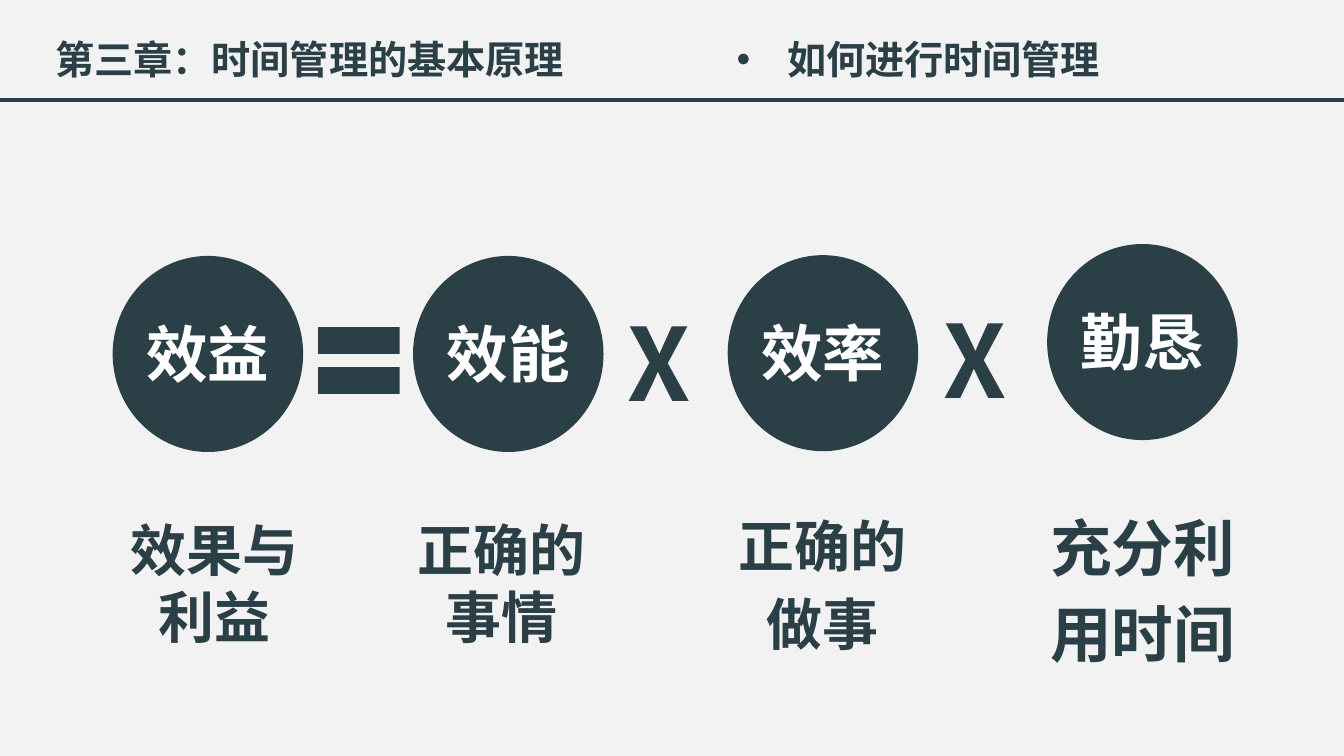
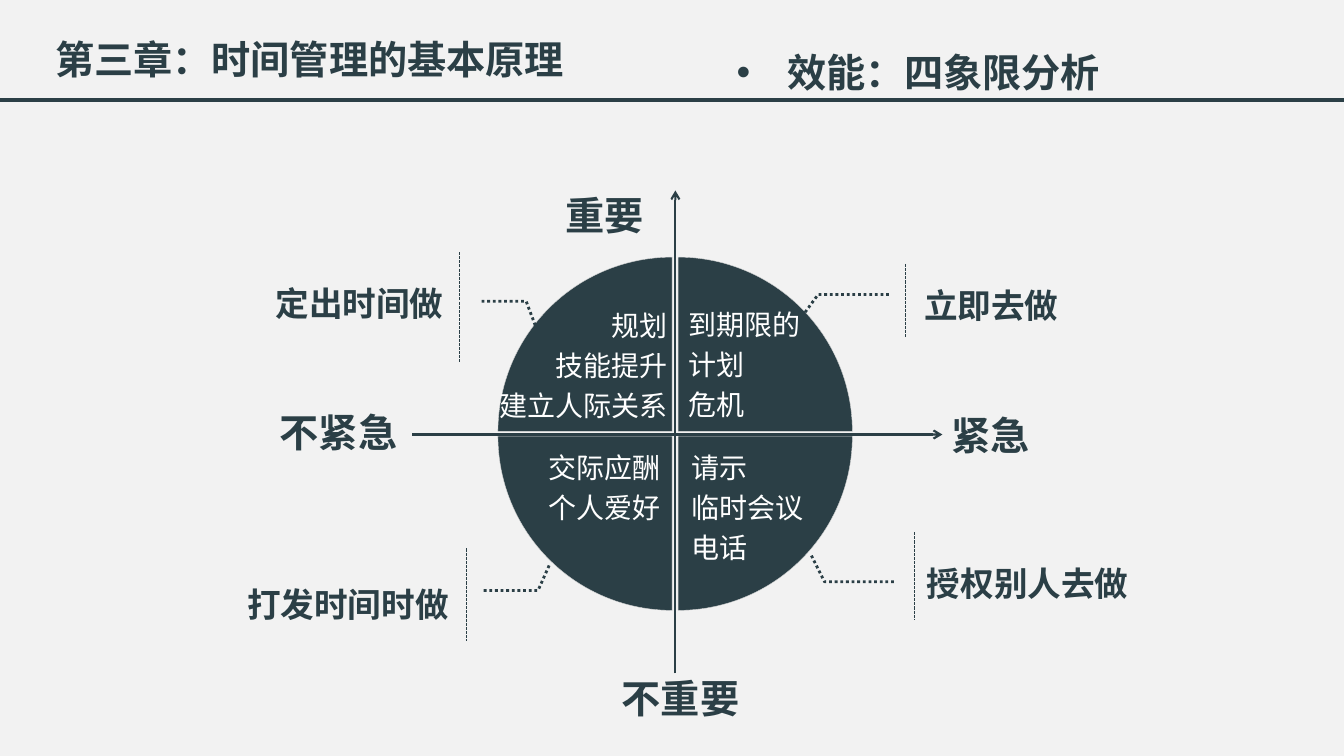
from pptx import Presentation
from pptx.dml.color import RGBColor
from pptx.enum import dml, shapes, text
from pptx.oxml.ns import qn
from pptx.util import Cm, Pt

INK = RGBColor(0x2B, 0x3F, 0x46)
PAPER = RGBColor(0xF2, 0xF2, 0xF2)
WHITE = RGBColor(0xFF, 0xFF, 0xFF)
EDGE = RGBColor(0xD7, 0xD7, 0xD7)
FONT = "Noto Sans CJK SC"
WIDE, HIGH = 33.87, 19.05
LEFT, MID, RIGHT = text.PP_ALIGN.LEFT, text.PP_ALIGN.CENTER, text.PP_ALIGN.RIGHT
KIND = shapes.MSO_SHAPE
DOT, DASH = dml.MSO_LINE.ROUND_DOT, dml.MSO_LINE.SQUARE_DOT

# Shared header
CHAPTER = "第三章：时间管理的基本原理"
RULE = 2.52

# Formula slide: word, left, top
DISC = (4.8, 4.94)
DISCS = [
    ("效益", 2.84, 6.45),
    ("效能", 10.41, 6.45),
    ("效率", 18.34, 6.43),
    ("勤恳", 26.39, 6.15),
]
EQUAL = (7.65, 7.65, 2.79, 2.87)
TIMES = [(15.57, 7.26), (23.52, 7.19)]
# Lines, left, top, size, space between
NOTES = [
    (["效果与", "利益"], 1.7, 12.75, 40, 0),
    (["正确的", "事情"], 8.94, 12.75, 40, 0),
    (["正确的", "做事"], 17.04, 12.65, 40, 8),
    (["充分利", "用时间"], 25.1, 12.6, 44, 9),
]

# Quadrant slide: left, top and turn of each wedge
WEDGE = 4.39
WEDGES = [
    (12.55, 6.48, 0),
    (17.09, 6.48, 90),
    (17.09, 10.99, 180),
    (12.55, 10.99, 270),
]
# Lines, box, side
TASKS = [
    (["规划", "技能提升", "建立人际关系"], (11.46, 7.42, 5.61, 3.33), RIGHT),
    (["到期限的计划", "危机"], (17.09, 7.39, 3.98, 3.33), LEFT),
    (["交际应酬", "个人爱好"], (12.4, 11, 4.5, 2.31), RIGHT),
    (["请示", "临时会议", "电话"], (17.17, 11, 4.01, 3.33), LEFT),
]
AXES = [((10.39, 10.95), (23.75, 10.95)), ((17.02, 16.97), (17.02, 4.8))]
ENDS = [
    ("重要", (14, 4.62, 3.12, 1.45), LEFT),
    ("不重要", (15.42, 16.79, 4.8, 1.45), LEFT),
    ("不紧急", (6.12, 10.08, 4.14, 1.45), RIGHT),
    ("紧急", (23.72, 10.16, 2.92, 1.45), LEFT),
]
# Advice, box, side, divider (x, top, bottom), leader points
ADVICE = [
    ("定出时间做", (3.99, 6.43, 7.44, 1.63), RIGHT, (11.58, 6.35, 9.14),
     [(13.49, 8.2), (13.26, 7.59), (12.14, 7.59)]),
    ("打发时间时做", (3.58, 14.02, 7.98, 1.63), RIGHT, (11.76, 13.82, 16.15),
     [(13.84, 14.25), (13.56, 14.88), (12.14, 14.88)]),
    ("立即去做", (23.04, 6.48, 5.44, 1.63), LEFT, (22.81, 6.65, 8.48),
     [(20.29, 7.87), (20.62, 7.42), (22.4, 7.42)]),
    ("授权别人去做", (23.11, 13.49, 7.09, 1.63), LEFT, (23.04, 13.41, 15.6),
     [(20.45, 14), (20.78, 14.66), (22.56, 14.66)]),
]


def cms(nums):
    return [Cm(n) for n in nums]


def fill_text(frame, lines, size, color=INK, bold=True, side=LEFT, pitch=1.0, gap=0):
    frame.word_wrap = True
    frame.auto_size = text.MSO_AUTO_SIZE.NONE
    frame.margin_top = Cm(0.13) + Pt(0.07 * size)
    frame.text = "\n".join(lines)
    for i, para in enumerate(frame.paragraphs):
        para.alignment = side
        para.line_spacing = Pt(1.2 * pitch * size)
        para.space_before = Pt(gap if i else 0)
        for run in para.runs:
            font = run.font
            font.size, font.bold, font.name = Pt(size), bold, FONT
            font.color.rgb = color
            east = run._r.get_or_add_rPr().makeelement(qn("a:ea"), {"typeface": FONT})
            run._r.rPr.find(qn("a:latin")).addnext(east)


def add_text(slide, lines, box, size, **style):
    frame = slide.shapes.add_textbox(*cms(box)).text_frame
    fill_text(frame, lines, size, **style)


def add_line(slide, start, end, width, dash=None, arrow=False):
    line = slide.shapes.add_connector(
        shapes.MSO_CONNECTOR.STRAIGHT, *cms(start), *cms(end))
    line.line.color.rgb, line.line.width = INK, Pt(width)
    if dash:
        line.line.dash_style = dash
    props = line._element.spPr
    if arrow:
        ln = props.find(qn("a:ln"))
        ln.append(ln.makeelement(qn("a:tailEnd"), {"type": "arrow"}))
    props.append(props.makeelement(qn("a:effectLst"), {}))


def add_solid(slide, kind, box):
    shape = slide.shapes.add_shape(kind, *cms(box))
    shape.shadow.inherit = False
    shape.fill.solid()
    shape.fill.fore_color.rgb = INK
    shape.line.fill.background()
    return shape


def add_leader(slide, points):
    first, *rest = [tuple(cms(p)) for p in points]
    build = slide.shapes.build_freeform(*first)
    build.add_line_segments(rest, close=False)
    shape = build.convert_to_shape()
    shape.shadow.inherit = False
    shape.fill.background()
    shape.line.color.rgb, shape.line.width = INK, Pt(2)
    shape.line.dash_style = DOT


def add_page(deck, topic, top):
    slide = deck.slides.add_slide(deck.slide_layouts[5])
    add_line(slide, (0, RULE), (WIDE, RULE), 3)
    add_text(slide, [CHAPTER], (1.14, 0.69, 14, 1.45), 28)
    # Bulleted topic as the title
    title = slide.shapes.title
    title.left, title.top, title.width, title.height = cms((18.31, top, 9.88, 1.45))
    frame = title.text_frame
    frame.vertical_anchor = text.MSO_ANCHOR.TOP
    fill_text(frame, [topic], 28)
    props = frame.paragraphs[0]._p.get_or_add_pPr()
    props.set("marL", str(Cm(1.27)))
    props.set("indent", str(-Cm(1.27)))
    for tag, key, value in (("a:buFont", "typeface", "Arial"), ("a:buChar", "char", "•")):
        props.append(props.makeelement(qn(tag), {key: value}))
    return slide


def add_formula(deck):
    slide = add_page(deck, "如何进行时间管理", 0.69)
    for word, x, y in DISCS:
        frame = add_solid(slide, KIND.OVAL, (x, y, *DISC)).text_frame
        fill_text(frame, [word], 44, color=WHITE, side=MID, pitch=0.9)
        frame.margin_left = frame.margin_right = 0
        frame.vertical_anchor = text.MSO_ANCHOR.MIDDLE
    add_solid(slide, KIND.MATH_EQUAL, EQUAL)
    for x, y in TIMES:
        add_text(slide, ["X"], (x, y, 2.51, 3.33), 72)
    for lines, x, y, size, gap in NOTES:
        add_text(slide, lines, (x, y, 7.39, 3.4), size, side=MID, gap=gap)


def add_quadrants(deck):
    slide = add_page(deck, "效能：四象限分析", 1.02)
    for x, y, turn in WEDGES:
        wedge = add_solid(slide, KIND.PIE_WEDGE, (x, y, WEDGE, WEDGE))
        wedge.rotation = turn
        wedge.line.color.rgb, wedge.line.width = EDGE, Pt(0.25)
    for start, end in AXES:
        add_line(slide, start, end, 1.5, arrow=True)
    for lines, box, side in TASKS:
        add_text(slide, lines, box, 20, color=WHITE, bold=False, side=side, pitch=1.2)
    for word, box, side in ENDS:
        add_text(slide, [word], box, 28, side=side)
    for word, box, side, (x, top, low), points in ADVICE:
        add_leader(slide, points)
        add_text(slide, [word], box, 24, side=side, pitch=1.5)
        add_line(slide, (x, top), (x, low), 0.75, dash=DASH)


def main():
    deck = Presentation()
    deck.slide_width, deck.slide_height = cms((WIDE, HIGH))
    back = deck.slide_master.background.fill
    back.solid()
    back.fore_color.rgb = PAPER
    add_formula(deck)
    add_quadrants(deck)
    deck.save("out.pptx")


if __name__ == "__main__":
    main()
